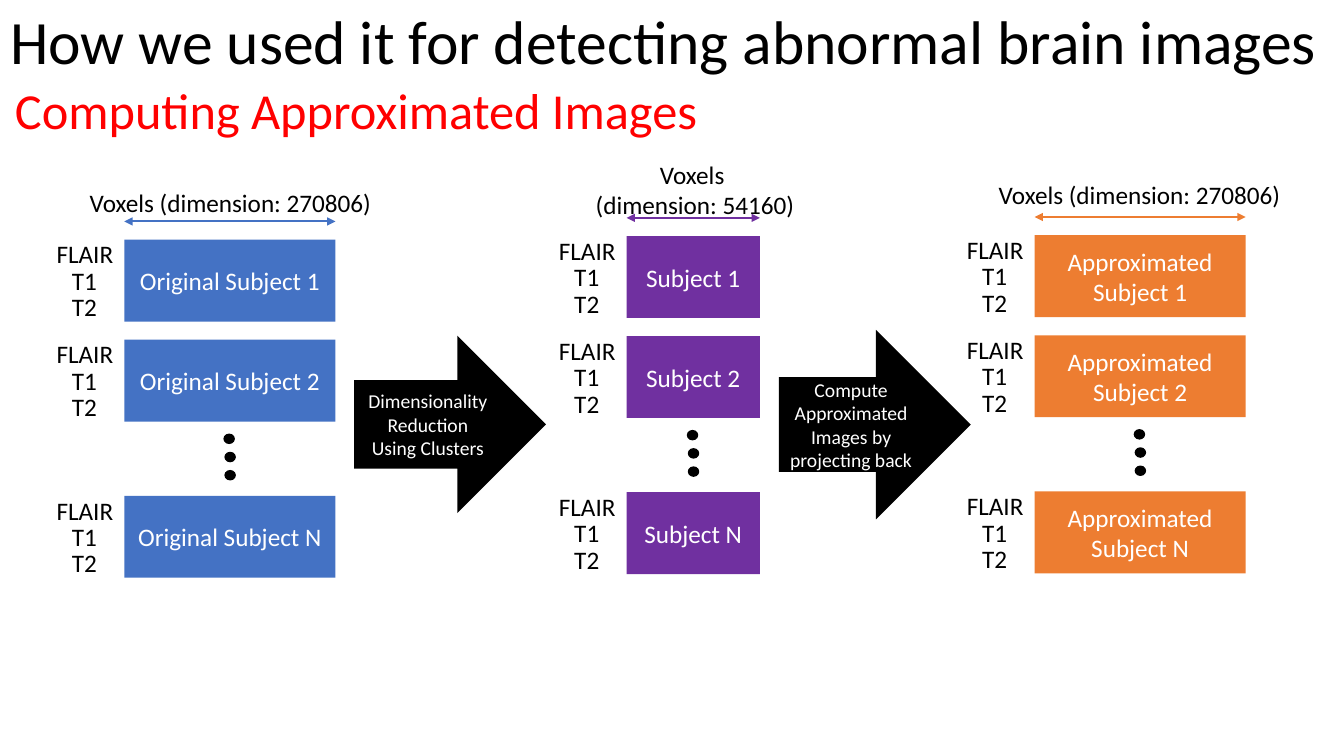
from pptx import Presentation
from pptx.dml.color import RGBColor
from pptx.enum.shapes import MSO_CONNECTOR as Link, MSO_SHAPE as Shape
from pptx.enum.text import MSO_ANCHOR as Anchor, MSO_AUTO_SIZE as Fit, PP_ALIGN as Align
from pptx.oxml.ns import qn
from pptx.util import Pt
from lxml.etree import SubElement

BLACK, WHITE, RED = "000000", "FFFFFF", "FF0000"
BLUE, PURPLE, ORANGE = "4472C4", "7030A0", "ED7D31"
ROWS = {"1": 0, "2": 71.5, "N": 183}
SCANS = [("FLAIR", -55.5, 55.5), ("T1", -44.5, 32.4), ("T2", -44.5, 32.4)]
BOX_HEIGHT = 58.5


def colour(code):
    return RGBColor.from_string(code)


def write(frame, text, size=18, ink=BLACK, align=Align.LEFT, anchor=Anchor.TOP,
          wrap=True, fit=Fit.NONE, spacing=1.0):
    frame.text = text
    frame.word_wrap = wrap
    frame.auto_size = fit
    frame.vertical_anchor = anchor
    for para in frame.paragraphs:
        para.alignment = align
        para.line_spacing = spacing
        for span in para.runs:
            span.font.name = "Calibri"
            span.font.size = Pt(size)
            span.font.color.rgb = colour(ink)


class Diagram:
    def __init__(self, page):
        self.page = page

    def title(self, text, left, top, width, height):
        box = self.page.shapes.title
        box.left, box.top, box.width, box.height = map(Pt, (left, top, width, height))
        write(box.text_frame, text, size=44, anchor=Anchor.MIDDLE, spacing=0.9)

    def label(self, text, left, top, width, height=29, **style):
        box = self.page.shapes.add_textbox(*map(Pt, (left, top, width, height)))
        write(box.text_frame, text, fit=Fit.SHAPE_TO_FIT_TEXT, **style)

    def shape(self, kind, left, top, width, height, fill):
        box = self.page.shapes.add_shape(kind, *map(Pt, (left, top, width, height)))
        box.shadow.inherit = False
        box.fill.solid()
        box.fill.fore_color.rgb = colour(fill)
        box.line.fill.background()
        return box

    def block(self, kind, text, left, top, width, height, fill, size=18):
        box = self.shape(kind, left, top, width, height, fill)
        write(box.text_frame, text, size=size, ink=WHITE, align=Align.CENTER,
              anchor=Anchor.MIDDLE)

    def dot(self, left, top):
        box = self.shape(Shape.OVAL, left, top, 7.2, 6.5, BLACK)
        box.line.color.rgb = colour(BLACK)
        box.line.width = Pt(1)

    def span_arrow(self, left, right, top, ink):
        arrow = self.page.shapes.add_connector(
            Link.STRAIGHT, *map(Pt, (left, top, right, top)))
        arrow.line.color.rgb = colour(ink)
        arrow.line.width = Pt(1.5)
        outline = arrow.line._get_or_add_ln()
        for end in ("a:headEnd", "a:tailEnd"):
            SubElement(outline, qn(end), type="triangle")
        SubElement(arrow._element.spPr, qn("a:effectLst"))

    def column(self, name, left, top, width, fill):
        self.span_arrow(left, left + width, top - 13, fill)
        for row, offset in ROWS.items():
            row_top = top + offset
            self.block(Shape.RECTANGLE, f"{name} {row}", left, row_top, width,
                       BOX_HEIGHT, fill)
            for index, (scan, shift, scan_width) in enumerate(SCANS):
                self.label(scan, left + shift, row_top - 4.3 + 18.9 * index,
                           scan_width, wrap=False)
        for index, nudge in enumerate((-0.7, 0, 0)):
            self.dot(left + width / 2 - 3.4 + nudge, top + 139 + 13 * index)


def main():
    deck = Presentation()
    deck.slide_width, deck.slide_height = Pt(960), Pt(540)
    diagram = Diagram(deck.slides.add_slide(deck.slide_layouts[5]))

    diagram.title("How we used it for detecting abnormal brain images", 0, 0, 960, 64)
    diagram.label("Computing Approximated Images", 3.6, 53.3, 585, 51, size=36, ink=RED)

    diagram.column("Original Subject", 88.8, 171.2, 150.8, BLUE)
    diagram.column("Subject", 447.6, 168.6, 95.2, PURPLE)
    diagram.column("Approximated Subject", 739, 168, 150.8, ORANGE)

    diagram.label("Voxels (dimension: 270806)", 56.9, 130.3, 255.6)
    diagram.label("Voxels \n(dimension: 54160)", 413.3, 110.2, 166.3, 51,
                  align=Align.CENTER)
    diagram.label("Voxels (dimension: 270806)", 706.3, 124.6, 255.6)

    diagram.block(Shape.RIGHT_ARROW, "Dimensionality Reduction\nUsing Clusters",
                  253, 239.8, 137, 126.7, BLACK, size=14)
    diagram.block(Shape.RIGHT_ARROW, "Compute Approximated Images by projecting back",
                  556.4, 235.6, 137, 135.4, BLACK, size=14)

    deck.save("out.pptx")


if __name__ == "__main__":
    main()
